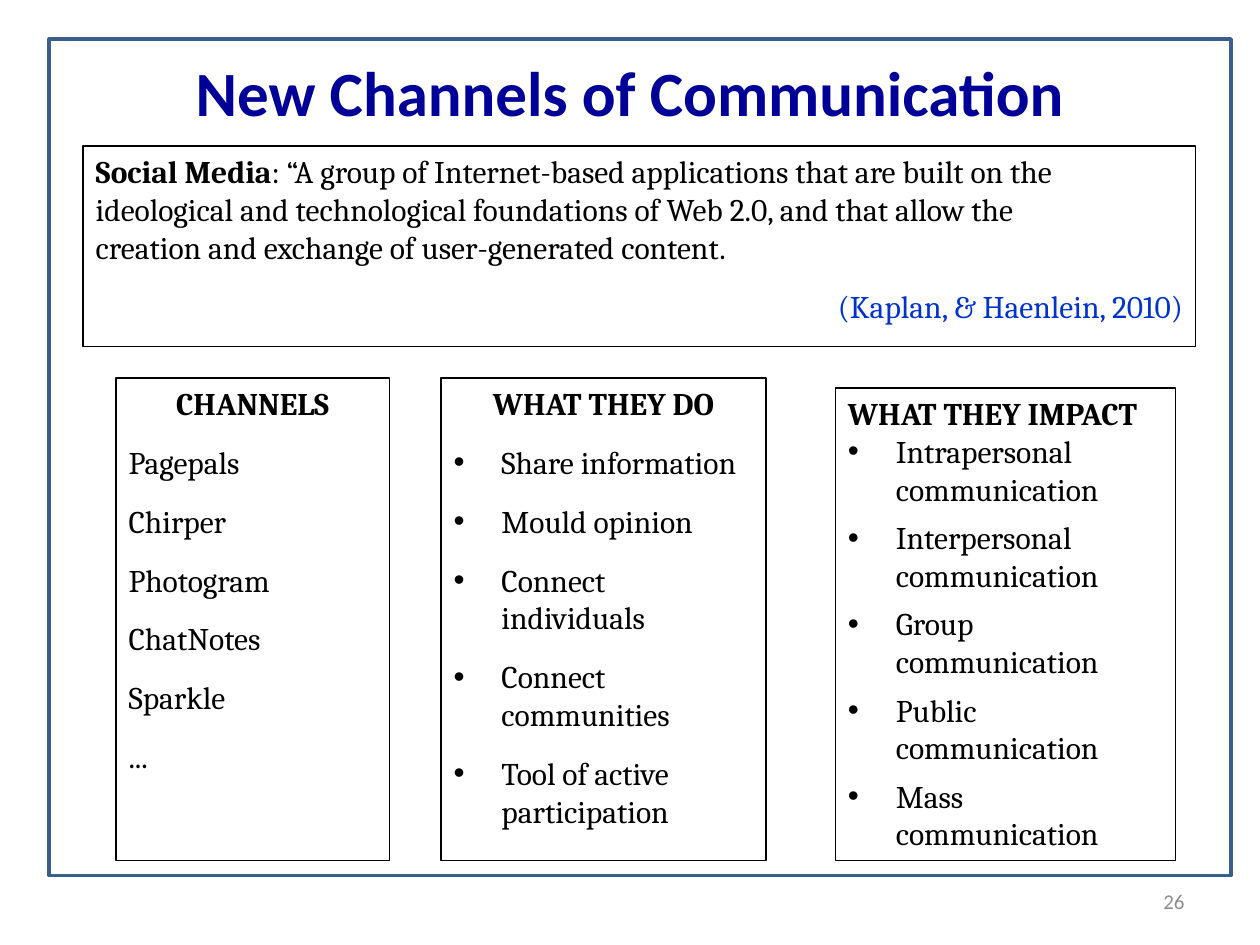
from dataclasses import dataclass

import lxml.etree
import pptx
import pptx.dml.color
import pptx.enum.shapes
import pptx.enum.text
import pptx.oxml.ns
import pptx.util

Inches = pptx.util.Inches
Pt = pptx.util.Pt
ALIGN = pptx.enum.text.PP_ALIGN
MIDDLE = pptx.enum.text.MSO_ANCHOR.MIDDLE
TOP = pptx.enum.text.MSO_ANCHOR.TOP
HANGING = 0.38


@dataclass
class ListPanel:
    placeholder: int
    place: tuple[float, float, float, float]
    heading: str
    items: list[str]
    heading_align: int = ALIGN.CENTER
    item_align: int = ALIGN.LEFT
    heading_gap: float = 12
    item_gap: float = 12
    bulleted: bool = True


PANELS = [
    ListPanel(2, (0.92, 3, 2.17, 3.83), "CHANNELS",
              ["Pagepals", "Chirper", "Photogram", "ChatNotes", "Sparkle", "..."],
              item_align=ALIGN.JUSTIFY, bulleted=False),
    ListPanel(3, (3.5, 3, 2.58, 3.83), "WHAT THEY DO",
              ["Share information", "Mould opinion", "Connect individuals",
               "Connect communities", "Tool of active participation"]),
    ListPanel(4, (6.63, 3.08, 2.7, 3.75), "WHAT THEY IMPACT",
              [f"{level} communication" for level in
               ("Intrapersonal", "Interpersonal", "Group", "Public", "Mass")],
              heading_align=ALIGN.JUSTIFY, item_align=ALIGN.JUSTIFY,
              heading_gap=0, item_gap=6),
]


def color(value: str) -> pptx.dml.color.RGBColor:
    return pptx.dml.color.RGBColor.from_string(value)


def move(shape, place: tuple[float, float, float, float]) -> None:
    shape.left, shape.top, shape.width, shape.height = map(Inches, place)


def outline(shape, line_color: str, width: float) -> None:
    shape.fill.background()
    shape.line.color.rgb = color(line_color)
    shape.line.width = Pt(width)


def prepare_frame(box, anchor):
    """Give the box fixed, wrapping text and return its frame."""
    frame = box.text_frame
    frame.auto_size = pptx.enum.text.MSO_AUTO_SIZE.NONE
    frame.word_wrap = True
    frame.vertical_anchor = anchor
    return frame


def set_bullet(para, bulleted: bool) -> None:
    """Set or switch off the bullet, with a hanging indent to match."""
    properties = para._p.get_or_add_pPr()
    indent = Inches(HANGING) if bulleted else 0
    properties.set("marL", str(indent))
    properties.set("indent", str(-indent))
    tags = [("a:buFont", "typeface", "Arial"), ("a:buChar", "char", "•")]
    for tag, key, value in tags if bulleted else [("a:buNone", None, None)]:
        element = lxml.etree.SubElement(properties, pptx.oxml.ns.qn(tag))
        if key:
            element.set(key, value)


def add_text(para, text: str, *, size: float = 18, font: str = "Cambria",
             text_color: str = "000000", bold: bool = False) -> None:
    span = para.add_run()
    span.text = text
    span.font.size = Pt(size)
    span.font.name = font
    span.font.bold = bold
    span.font.color.rgb = color(text_color)


def add_paragraph(frame, *, align=ALIGN.LEFT, gap: float = 0, bulleted: bool = False):
    """Return the empty first paragraph, or a new one after the last."""
    first = frame.paragraphs[0]
    para = frame.add_paragraph() if first.runs else first
    set_bullet(para, bulleted)
    para.alignment = align
    para.line_spacing = 1.0
    para.space_before = Pt(0)
    para.space_after = Pt(gap)
    return para


def body_frame(page, number: int, place: tuple[float, float, float, float]):
    box = page.placeholders[number]
    move(box, place)
    outline(box, "000000", 0.75)
    return prepare_frame(box, TOP)


def draw_panel(page, panel: ListPanel) -> None:
    frame = body_frame(page, panel.placeholder, panel.place)
    heading = add_paragraph(frame, align=panel.heading_align, gap=panel.heading_gap)
    add_text(heading, panel.heading, bold=True)
    for item in panel.items:
        para = add_paragraph(frame, align=panel.item_align, gap=panel.item_gap,
                             bulleted=panel.bulleted)
        add_text(para, item)


def draw_definition(page) -> None:
    frame = body_frame(page, 1, (0.66, 1.16, 8.83, 1.59))
    para = add_paragraph(frame, gap=12)
    add_text(para, "Social Media", bold=True)
    add_text(para, ": “A group of Internet-based applications that are built on the "
                   "ideological and technological foundations of Web 2.0, and that "
                   "allow the")
    para.add_line_break()
    add_text(para, "creation and exchange of user-generated content.")
    citation = add_paragraph(frame, align=ALIGN.RIGHT, gap=12)
    add_text(citation, "(Kaplan, & Haenlein, 2010)", text_color="0033CC")


def main() -> None:
    deck = pptx.Presentation()
    deck.slide_width, deck.slide_height = Inches(10), Inches(7.5)
    comparison_layout = deck.slide_layouts[4]
    page = deck.slides.add_slide(comparison_layout)

    border = page.shapes.add_shape(pptx.enum.shapes.MSO_SHAPE.RECTANGLE,
                                   *map(Inches, (0.39, 0.31, 9.38, 6.64)))
    border.shadow.inherit = False
    outline(border, "3A5F8C", 2)

    title = page.shapes.title
    move(title, (0.5, 0.3, 9, 0.85))
    para = add_paragraph(prepare_frame(title, MIDDLE), align=ALIGN.CENTER)
    add_text(para, "New Channels of Communication", size=36, font="Calibri",
             text_color="000099", bold=True)

    draw_definition(page)
    for panel in PANELS:
        draw_panel(page, panel)

    number = page.shapes.add_textbox(*map(Inches, (7.17, 6.95, 2.33, 0.4)))
    para = add_paragraph(prepare_frame(number, MIDDLE), align=ALIGN.RIGHT)
    add_text(para, "26", size=12, font="Calibri", text_color="8C8C8C")

    deck.save("out.pptx")


if __name__ == "__main__":
    main()
